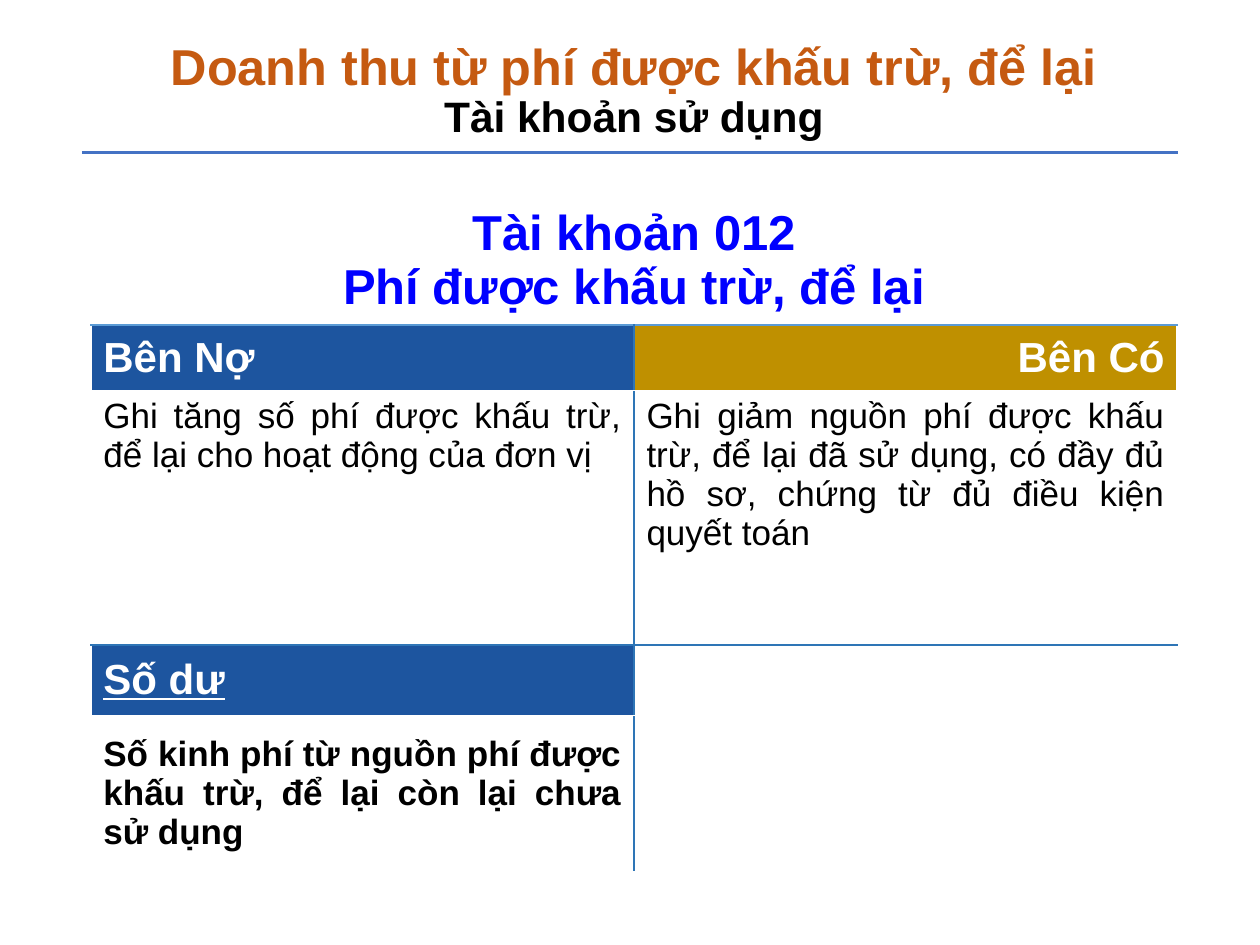
from dataclasses import dataclass
from typing import Optional

from lxml.etree import SubElement
from pptx import Presentation
from pptx.dml.color import RGBColor
from pptx.enum.shapes import MSO_CONNECTOR
from pptx.enum.text import MSO_ANCHOR, MSO_AUTO_SIZE, PP_ALIGN
from pptx.oxml.ns import qn
from pptx.util import Cm, Pt

FONT = "Arial"
BLACK, WHITE = "000000", "FFFFFF"
DEBIT_BLUE, CREDIT_GOLD = "1D559F", "BF9000"
RULE_BLUE, HEADING_RULE = "2E75B6", "5B9BD5"
LEFT, WIDTH = 1.83, 21.9
ROW_HEIGHTS = (2.59, 1.32, 5.13, 1.42, 3.15)


@dataclass(frozen=True)
class Entry:
    row: int
    column: int
    lines: tuple = ()
    size: float = 20
    color: str = BLACK
    bold: bool = False
    underline: bool = False
    align: PP_ALIGN = PP_ALIGN.LEFT
    anchor: MSO_ANCHOR = MSO_ANCHOR.MIDDLE
    fill: Optional[str] = None


ENTRIES = (
    Entry(0, 0, ("Tài khoản 012", "Phí được khấu trừ, để lại"), 28, "0000FF",
          bold=True, align=PP_ALIGN.CENTER),
    Entry(1, 0, ("Bên Nợ",), 24, WHITE, bold=True, fill=DEBIT_BLUE),
    Entry(1, 1, ("Bên Có",), 24, WHITE, bold=True, align=PP_ALIGN.RIGHT,
          fill=CREDIT_GOLD),
    Entry(2, 0, ("Ghi tăng số phí được khấu trừ, để lại cho hoạt động của đơn vị",),
          align=PP_ALIGN.JUSTIFY, anchor=MSO_ANCHOR.TOP),
    Entry(2, 1, ("Ghi giảm nguồn phí được khấu trừ, để lại đã sử dụng, "
                 "có đầy đủ hồ sơ, chứng từ đủ điều kiện quyết toán",),
          align=PP_ALIGN.JUSTIFY, anchor=MSO_ANCHOR.TOP),
    Entry(3, 0, ("Số dư",), 24, WHITE, bold=True, underline=True, fill=DEBIT_BLUE),
    Entry(3, 1),
    Entry(4, 0, ("Số kinh phí từ nguồn phí được khấu trừ, để lại còn lại chưa sử dụng",),
          bold=True, align=PP_ALIGN.JUSTIFY),
    Entry(4, 1),
)


def rgb(color: str) -> RGBColor:
    return RGBColor.from_string(color)


def write(paragraph, text: str, *, size: float, color: str, bold: bool = True,
          underline: bool = False, align: PP_ALIGN = PP_ALIGN.CENTER) -> None:
    paragraph.alignment = align
    run = paragraph.add_run()
    run.text = text
    run.font.name = FONT
    run.font.size = Pt(size)
    run.font.bold = bold
    run.font.underline = underline
    run.font.color.rgb = rgb(color)


def add_border(cell, side: str, color: str) -> None:
    line = SubElement(cell._tc.get_or_add_tcPr(), qn(f"a:ln{side}"), w=str(Pt(1)))
    solid = SubElement(line, qn("a:solidFill"))
    SubElement(solid, qn("a:srgbClr"), val=color)


def draw_borders(cell, row: int, column: int) -> None:
    if row > 0:
        add_border(cell, "R" if column == 0 else "L", RULE_BLUE)
    if row == 1:
        add_border(cell, "T", HEADING_RULE)
    if row == 3:
        add_border(cell, "T", RULE_BLUE)
    if row == 0:
        add_border(cell, "B", HEADING_RULE)
    if row == 2:
        add_border(cell, "B", RULE_BLUE)


def fill_entry(table, entry: Entry) -> None:
    cell = table.cell(entry.row, entry.column)
    cell.vertical_anchor = entry.anchor
    draw_borders(cell, entry.row, entry.column)
    if entry.fill:
        cell.fill.solid()
        cell.fill.fore_color.rgb = rgb(entry.fill)
    else:
        cell.fill.background()
    frame = cell.text_frame
    for index, line in enumerate(entry.lines):
        paragraph = frame.add_paragraph() if index else frame.paragraphs[0]
        write(paragraph, line, size=entry.size, color=entry.color, bold=entry.bold,
              underline=entry.underline, align=entry.align)


def add_title(slide) -> None:
    title = slide.shapes.title
    title.left, title.top, title.width, title.height = map(Cm, (LEFT, 0.61, WIDTH, 2.49))
    frame = title.text_frame
    frame.word_wrap = True
    frame.auto_size = MSO_AUTO_SIZE.NONE
    frame.vertical_anchor = MSO_ANCHOR.MIDDLE
    heading = frame.paragraphs[0]
    heading.line_spacing = 0.9
    write(heading, "Doanh thu từ phí được khấu trừ, để lại", size=28.8, color="C55A11")
    heading.add_line_break()
    write(heading, "Tài khoản sử dụng", size=24.3, color=BLACK)


def add_title_rule(slide) -> None:
    rule = slide.shapes.add_connector(
        MSO_CONNECTOR.STRAIGHT, Cm(1.65), Cm(3.07), Cm(23.75), Cm(3.07))
    rule.line.color.rgb = rgb("4472C4")
    rule.line.width = Pt(1.5)
    SubElement(rule._element.spPr, qn("a:effectLst"))


def add_account_table(slide) -> None:
    table = slide.shapes.add_table(
        len(ROW_HEIGHTS), 2, Cm(LEFT), Cm(3.96), Cm(WIDTH), Cm(sum(ROW_HEIGHTS))).table
    table.first_row = False
    table.horz_banding = False
    for row, height in zip(table.rows, ROW_HEIGHTS):
        row.height = Cm(height)
    table.cell(0, 0).merge(table.cell(0, 1))
    for entry in ENTRIES:
        fill_entry(table, entry)


def main() -> None:
    presentation = Presentation()
    presentation.slide_width = Cm(25.4)
    presentation.slide_height = Cm(19.05)
    slide = presentation.slides.add_slide(presentation.slide_layouts[5])
    add_title_rule(slide)
    add_account_table(slide)
    add_title(slide)
    presentation.save("out.pptx")


if __name__ == "__main__":
    main()
